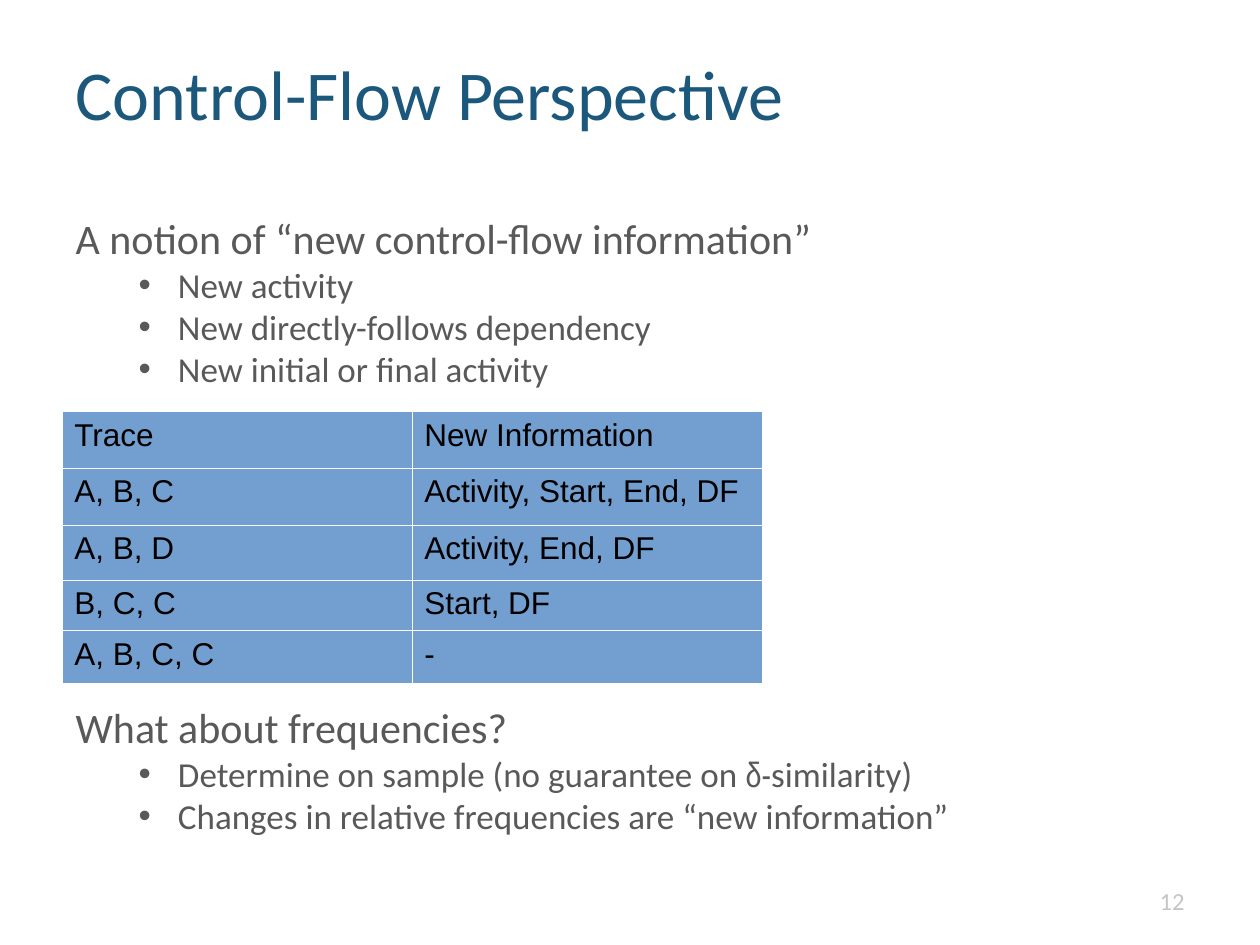
from dataclasses import dataclass

from lxml import etree
from pptx import Presentation
from pptx.dml.color import RGBColor
from pptx.enum import text
from pptx.oxml import ns
from pptx.util import Pt


@dataclass(frozen=True)
class Theme:
    font: str = "Calibri"
    greek: str = "Arial Narrow"
    grid: str = "Arial"
    blue: str = "1B587C"
    gray: str = "595959"
    pale: str = "C5C5C5"
    cell: str = "729FCF"
    black: str = "000000"
    white: str = "FFFFFF"
    title: int = 40
    head: int = 24
    item: int = 20
    body: int = 18
    small: int = 14


def place(shape, box):
    shape.left, shape.top, shape.width, shape.height = map(Pt, box)


def add(parent, tag, **attrs):
    return etree.SubElement(parent, ns.qn(tag), attrs)


class Deck:
    """Holds the theme and the current slide."""

    def __init__(self, theme):
        self.theme = theme
        self.prs = Presentation()
        self.prs.slide_width, self.prs.slide_height = Pt(720), Pt(540)
        self.slide = self.prs.slides.add_slide(self.prs.slide_layouts[1])

    def style(self, para, size, color, name=None):
        for run in para.runs:
            run.font.size = Pt(size)
            run.font.name = name or self.theme.font
            run.font.color.rgb = RGBColor.from_string(color)

    def title(self, words, box):
        shape = self.slide.shapes.title
        place(shape, box)
        frame = shape.text_frame
        frame.text = words
        frame.auto_size = text.MSO_AUTO_SIZE.NONE
        frame.vertical_anchor = text.MSO_ANCHOR.MIDDLE
        para = frame.paragraphs[0]
        para.alignment = text.PP_ALIGN.LEFT
        self.style(para, self.theme.title, self.theme.blue)

    def number(self, words, box):
        frame = self.slide.shapes.add_textbox(*map(Pt, box)).text_frame
        frame.text = words
        frame.word_wrap = True
        frame.vertical_anchor = text.MSO_ANCHOR.MIDDLE
        para = frame.paragraphs[0]
        para.alignment = text.PP_ALIGN.RIGHT
        self.style(para, self.theme.small, self.theme.pale)

    def head(self, para, words, gap):
        para.text = words
        para.space_before = Pt(gap)
        props = para._p.get_or_add_pPr()
        props.set("marL", "0")
        props.set("indent", "0")
        add(props, "a:buNone")
        self.style(para, self.theme.head, self.theme.gray)

    def item(self, para, parts):
        """Write a bullet; every second part is set in the Greek font."""
        para.level = 1
        para.space_before = Pt(0)
        props = para._p.get_or_add_pPr()
        props.set("marL", str(Pt(58.5)))
        props.set("indent", str(-Pt(22.5)))
        add(add(props, "a:buClr"), "a:srgbClr", val=self.theme.gray)
        add(props, "a:buFont", typeface=self.theme.grid)
        add(props, "a:buChar", char="•")
        for part in parts:
            para.add_run().text = part
        self.style(para, self.theme.item, self.theme.gray)
        for run in para.runs[1::2]:
            run.font.name = self.theme.greek

    def body(self, groups, box, gap):
        """Write headed lists, with a gap between them for the table."""
        shape = self.slide.placeholders[1]
        place(shape, box)
        frame = shape.text_frame
        frame.auto_size = text.MSO_AUTO_SIZE.NONE
        for i, (head, items) in enumerate(groups):
            para = frame.add_paragraph() if i else frame.paragraphs[0]
            self.head(para, head, gap if i else 0)
            for parts in items:
                self.item(frame.add_paragraph(), parts)

    def cell(self, cell, words):
        props = cell._tc.get_or_add_tcPr()
        for side in ("a:lnL", "a:lnR", "a:lnT", "a:lnB"):
            line = add(props, side, w=str(Pt(0.06)))
            add(add(line, "a:solidFill"), "a:srgbClr", val=self.theme.white)
        cell.fill.solid()
        cell.fill.fore_color.rgb = RGBColor.from_string(self.theme.cell)
        cell.text = words
        para = cell.text_frame.paragraphs[0]
        self.style(para, self.theme.body, self.theme.black, self.theme.grid)

    def table(self, rows, spot, width, highs):
        size = width * len(rows[0]), sum(highs)
        table = self.slide.shapes.add_table(
            len(rows), len(rows[0]), *map(Pt, spot + size)).table
        table.first_row = table.horz_banding = False
        for col in table.columns:
            col.width = Pt(width)
        for row, high, words in zip(table.rows, highs, rows):
            row.height = Pt(high)
            for cell, word in zip(row.cells, words):
                self.cell(cell, word)


def main():
    deck = Deck(Theme())
    deck.title("Control-Flow Perspective", (36, 21.6, 651, 62))
    deck.number("12", (516, 500.4, 168, 28.8))
    deck.body([
        ("A notion of “new control-flow information”", [
            ["New activity"],
            ["New directly-follows dependency"],
            ["New initial or final activity"],
        ]),
        ("What about frequencies?", [
            ["Determine on sample (no guarantee on ", "δ-", "similarity)"],
            ["Changes in relative frequencies are “new information”"],
        ]),
    ], (36, 118, 648, 377), 178.5)
    deck.table([
        ("Trace", "New Information"),
        ("A, B, C", "Activity, Start, End, DF"),
        ("A, B, D", "Activity, End, DF"),
        ("B, C, C", "Start, DF"),
        ("A, B, C, C", "-"),
    ], (35.3, 235), 200, (32.4, 32.4, 31.5, 29, 30))
    deck.prs.save("out.pptx")


if __name__ == "__main__":
    main()
